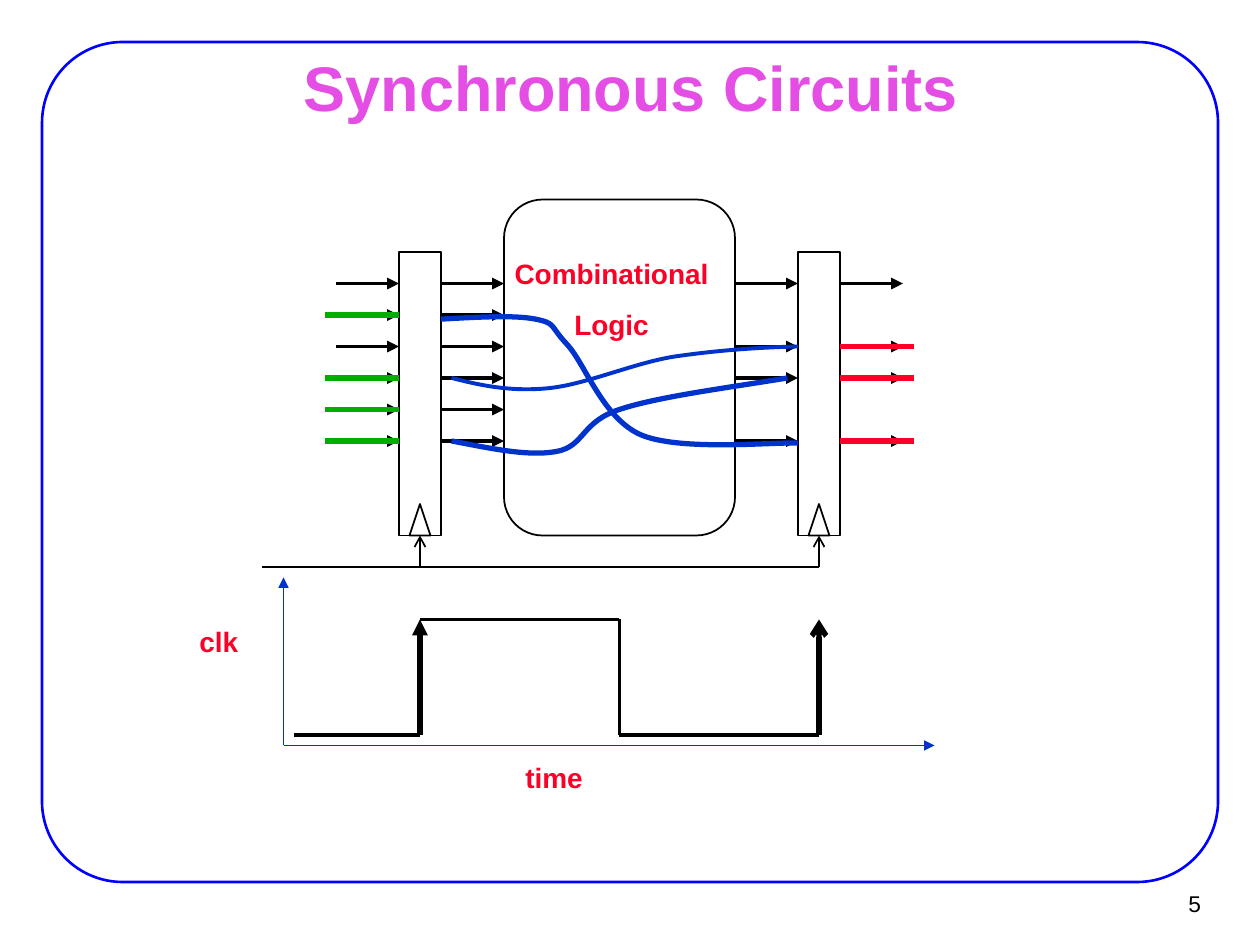
import dataclasses

import lxml.etree
import pptx
import pptx.dml.color
import pptx.enum.shapes
import pptx.enum.text
import pptx.oxml.ns
import pptx.util

SHAPE = pptx.enum.shapes.MSO_SHAPE
ALIGN = pptx.enum.text.PP_ALIGN
ANCHOR = pptx.enum.text.MSO_ANCHOR
AUTO_SIZE = pptx.enum.text.MSO_AUTO_SIZE
STEPS_PER_CM = 12 / 2.54


@dataclasses.dataclass(frozen=True)
class Theme:
    """Colours, type sizes and line widths."""
    font: str = "Arial"
    ink: str = "000000"
    paper: str = "FFFFFF"
    frame: str = "0000FF"
    title: str = "E44EE4"
    accent: str = "FC0128"
    path_blue: str = "0033CC"
    input_green: str = "00AE00"
    title_size: float = 36
    label_size: float = 16
    number_size: float = 13
    thin: float = 1
    border: float = 1.5
    wire: float = 2.25
    bold: float = 3


THEME = Theme()


@dataclasses.dataclass(frozen=True)
class Box:
    """A region measured in grid steps of a twelfth of an inch."""
    left: float
    top: float
    width: float
    height: float

    def inner(self, left, top, width, height):
        """Return a box placed relative to this one."""
        return Box(self.left + left, self.top + top, width, height)

    def point(self, x, y):
        """Return a relative point as two lengths."""
        return length(self.left + x), length(self.top + y)

    def lengths(self):
        """Return left, top, width and height as lengths."""
        return [length(steps) for steps in dataclasses.astuple(self)]


def length(steps):
    """Convert grid steps to a length."""
    return pptx.util.Cm(steps / STEPS_PER_CM)


def rgb(colour):
    """Convert a hex string to a colour."""
    return pptx.dml.color.RGBColor.from_string(colour)


def set_line(shape, colour, width):
    """Set the line colour and width."""
    shape.line.color.rgb = rgb(colour)
    shape.line.width = pptx.util.Pt(width)


def add_outline(slide, kind, box, colour=THEME.ink, width=THEME.thin, fill=None):
    """Add an outlined preset shape."""
    shape = slide.shapes.add_shape(kind, *box.lengths())
    shape.shadow.inherit = False
    if fill:
        shape.fill.solid()
        shape.fill.fore_color.rgb = rgb(fill)
    else:
        shape.fill.background()
    set_line(shape, colour, width)
    return shape


def add_wire(slide, box, start, end, colour=THEME.ink, width=THEME.wire, head=None):
    """Add a straight wire between two relative points."""
    wire = slide.shapes.add_connector(
        pptx.enum.shapes.MSO_CONNECTOR.STRAIGHT, *box.point(*start), *box.point(*end))
    set_line(wire, colour, width)
    if head:
        lxml.etree.SubElement(
            wire.line._get_or_add_ln(), pptx.oxml.ns.qn("a:tailEnd"), type=head)
    lxml.etree.SubElement(wire._element.spPr, pptx.oxml.ns.qn("a:effectLst"))
    return wire


def add_rows(slide, box, rows, start, end, **style):
    """Add one horizontal wire for each row."""
    for row in rows:
        add_wire(slide, box, (start, row), (end, row), **style)


def add_curve(slide, box, points, width):
    """Add an open chain of cubic Bézier segments."""
    start, *controls = [box.point(*point) for point in points]
    builder = slide.shapes.build_freeform(*start, scale=1.0)
    builder.add_line_segments(controls, close=False)
    curve = builder.convert_to_shape()
    outline = next(curve._element.iter(pptx.oxml.ns.qn("a:path")))
    segments = outline.findall(pptx.oxml.ns.qn("a:lnTo"))
    for first in range(0, len(segments), 3):
        bezier = lxml.etree.SubElement(outline, pptx.oxml.ns.qn("a:cubicBezTo"))
        for segment in segments[first:first + 3]:
            bezier.append(segment[0])
            outline.remove(segment)
    curve.shadow.inherit = False
    curve.fill.background()
    set_line(curve, THEME.path_blue, width)


def set_font(paragraph, size, colour, bold):
    """Format a paragraph's font."""
    font = paragraph.font
    font.name, font.size, font.bold = THEME.font, pptx.util.Pt(size), bold
    font.color.rgb = rgb(colour)


def add_label(slide, box, lines, align=ALIGN.LEFT, size=THEME.label_size,
              colour=THEME.accent, bold=True, anchor=ANCHOR.TOP):
    """Add a text box with one paragraph for each line."""
    frame = slide.shapes.add_textbox(*box.lengths()).text_frame
    frame.word_wrap = False
    frame.auto_size = AUTO_SIZE.SHAPE_TO_FIT_TEXT
    frame.vertical_anchor = anchor
    frame.text = "\n".join(lines)
    for paragraph in frame.paragraphs:
        paragraph.alignment = align
        paragraph.space_before = pptx.util.Pt(10 if bold else 0)
        set_font(paragraph, size, colour, bold)


def add_page(slide, box):
    """Add the frame, the title and the page number."""
    border = add_outline(slide, SHAPE.ROUNDED_RECTANGLE, box.inner(4, 4, 112, 80),
                         THEME.frame, THEME.border)
    border.adjustments[0] = 0.096
    title = slide.shapes.title
    title.left, title.top, title.width, title.height = box.inner(9.1, 5.3, 102, 5.9).lengths()
    title.text = "Synchronous Circuits"
    title.text_frame.auto_size = AUTO_SIZE.NONE
    title.text_frame.vertical_anchor = ANCHOR.MIDDLE
    heading = title.text_frame.paragraphs[0]
    heading.alignment = ALIGN.CENTER
    set_font(heading, THEME.title_size, THEME.title, True)
    add_label(slide, box.inner(108.25, 83.8, 7.3, 4.4), ["5"], ALIGN.RIGHT,
              THEME.number_size, THEME.ink, False, ANCHOR.MIDDLE)


def add_register(slide, box):
    """Add a register with its clock input."""
    register = add_outline(slide, SHAPE.RECTANGLE, box, fill=THEME.paper)
    add_outline(slide, SHAPE.ISOSCELES_TRIANGLE, box.inner(1, 24, 2, 3), fill=THEME.paper)
    clock_input = add_wire(slide, box, (2, 30), (2, 27), width=THEME.thin, head="arrow")
    clock_input.end_connect(register, 2)


def add_circuit(slide, box):
    """Add the logic block between two registers, with its wires and paths."""
    inputs = range(8, 24, 3)
    active_inputs = (11, 17, 20, 23)
    active_outputs = (14, 17, 23)
    outputs = (8, *active_outputs)
    add_label(slide, box.inner(22.8, 4.85, 20.9, 9.25), ["Combinational", "Logic"], ALIGN.CENTER)
    add_outline(slide, SHAPE.ROUNDED_RECTANGLE, box.inner(23, 0, 22, 32))
    for left in (13, 51):
        add_register(slide, box.inner(left, 5, 4, 27))
    for rows, start in ((inputs, 7), (inputs, 17), (outputs, 45), (outputs, 55)):
        add_rows(slide, box, rows, start, start + 6, head="triangle")
    add_wire(slide, box, (53, 35), (0, 35), width=THEME.thin)
    rising = [(18, 23), (21.7, 23.7), (25.3, 24.5), (28, 24), (30.7, 23.5), (30.3, 21.2),
              (34, 20), (37.6, 18.8), (43.9, 18), (50, 17)]
    falling = [(17, 11.4), (20.5, 11.2), (24, 11), (26, 11.4), (28, 11.8), (27.3, 12),
               (29, 13.8), (30.7, 15.6), (32.4, 20.8), (36, 22.4), (39.7, 24),
               (48.6, 23.1), (51, 23.2)]
    shallow = [(18, 17), (20.7, 17.7), (23.5, 18.3), (27, 18), (30.6, 17.7), (35, 15.7),
               (39, 15), (43, 14.4), (47, 14.1), (51, 14)]
    for points, width in ((rising, THEME.bold), (falling, THEME.bold), (shallow, THEME.wire)):
        add_curve(slide, box, points, width)
    add_rows(slide, box, active_outputs, 55, 62, colour=THEME.accent, width=THEME.bold)
    add_rows(slide, box, active_inputs, 6, 13, colour=THEME.input_green, width=THEME.bold)


def add_clock(slide, box):
    """Add the clock waveform on its axes."""
    low, high = 15, 4
    start, rise, fall, next_rise = 11, 23, 42, 61
    levels = [(start, low), (rise, low)], [(rise, high), (fall, high)], \
        [(fall, low), (fall, high)], [(fall, low), (next_rise, low)]
    for begin, end in levels:
        add_wire(slide, box, begin, end)
    for x, head in ((rise, "triangle"), (next_rise, "arrow")):
        add_wire(slide, box, (x, low), (x, high), width=THEME.bold, head=head)
    for axis_end in ((72, 16), (10, 0)):
        add_wire(slide, box, (10, 16), axis_end, THEME.path_blue, THEME.thin, "triangle")
    add_label(slide, box.inner(31.85, 16.85, 7.9, 4.45), ["time"])
    add_label(slide, box.inner(0.8, 3.85, 6.15, 4.45), ["clk"])


def main():
    """Build and save the slide."""
    deck = pptx.Presentation()
    deck.slide_width, deck.slide_height = pptx.util.Cm(25.4), pptx.util.Cm(19.05)
    slide = deck.slides.add_slide(deck.slide_layouts.get_by_name("Title Only"))
    add_page(slide, Box(0, 0, 120, 90))
    add_circuit(slide, Box(25, 19, 62, 35))
    add_clock(slide, Box(17, 55, 72, 21))
    deck.save("out.pptx")


if __name__ == "__main__":
    main()
